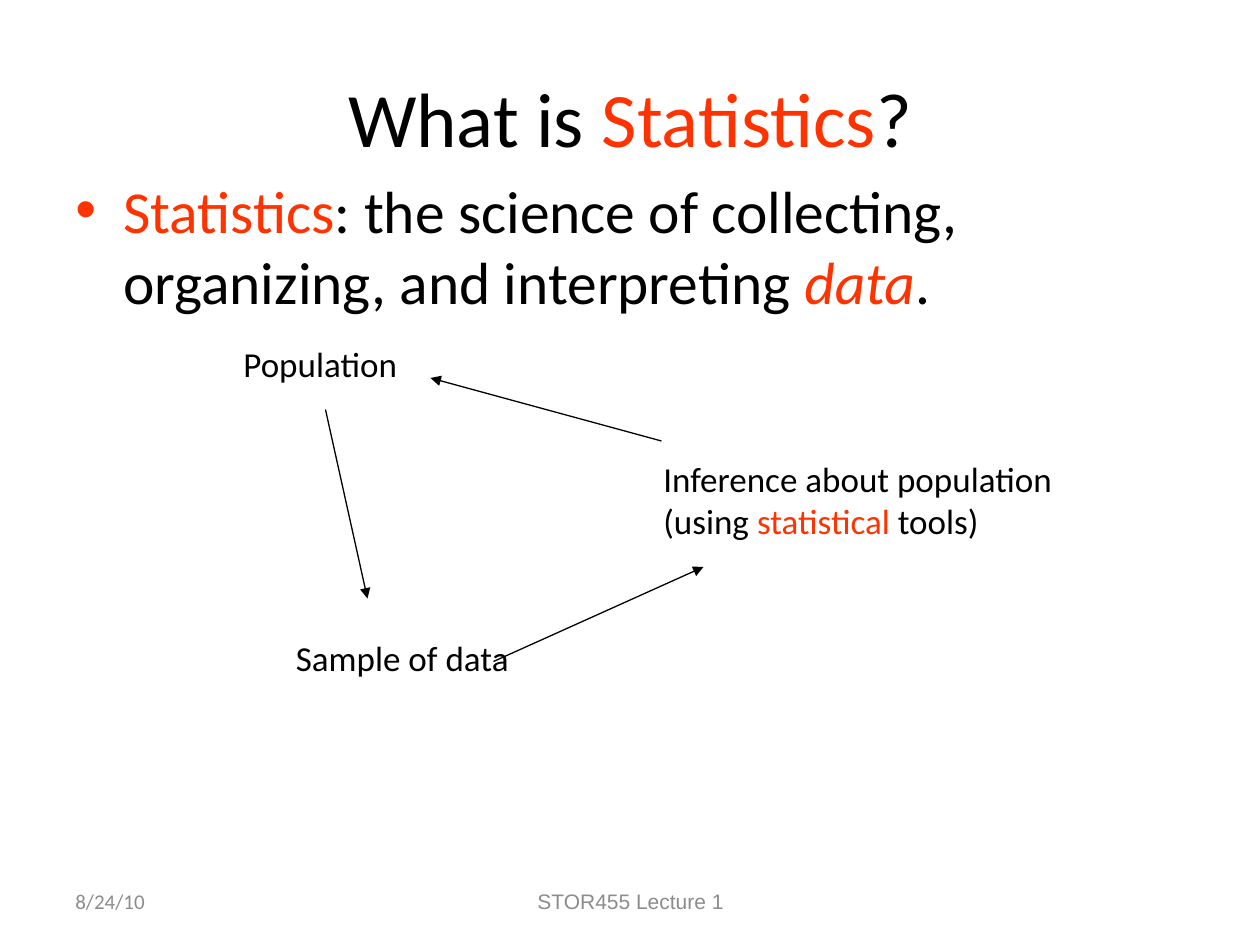
import pptx
import pptx.util
import pptx.dml.color
import pptx.enum.shapes
import pptx.enum.text
import pptx.oxml.ns
import lxml.etree

W, H = 10, 7.5
COL, ROW = W / 120, H / 30
COLORS = {"text": "000000", "accent": "FF3300", "footer": "8C8C8C"}
ALIGN = pptx.enum.text.PP_ALIGN
ANCHOR = pptx.enum.text.MSO_ANCHOR
Inches, Pt = pptx.util.Inches, pptx.util.Pt
qn = pptx.oxml.ns.qn

prs = pptx.Presentation()
prs.slide_width, prs.slide_height = Inches(W), Inches(H)
s = prs.slides.add_slide(prs.slide_layouts[6])


def add_text(runs, box, size=20, font="Calibri", align=ALIGN.LEFT, anchor=ANCHOR.TOP):
    sp = s.shapes.add_textbox(*[Inches(v) for v in box])
    tf = sp.text_frame
    tf.word_wrap = True
    tf.vertical_anchor = anchor
    p = tf.paragraphs[0]
    p.alignment = align
    for text, color, *italic in runs:
        r = p.add_run()
        r.text = text
        r.font.size = Pt(size)
        r.font.name = font
        r.font.italic = bool(italic)
        r.font.color.rgb = pptx.dml.color.RGBColor.from_string(COLORS[color])
    return p


add_text([("What is ", "text"), ("Statistics", "accent"), ("?", "text")],
         (0.5, 0.3, 9, 1.25), size=44, align=ALIGN.CENTER, anchor=ANCHOR.MIDDLE)

p = add_text([("Statistics", "accent"),
              (": the science of collecting, organizing, and interpreting ", "text"),
              ("data", "accent", "italic"), (".", "text")],
             (0.5, 1.33, 9, 5.42), size=34)
pPr = p._p.get_or_add_pPr()
pPr.set("marL", str(Inches(0.38)))
pPr.set("indent", str(-Inches(0.38)))
lxml.etree.SubElement(pPr, qn("a:buFont")).set("typeface", "Arial")
lxml.etree.SubElement(pPr, qn("a:buChar")).set("char", "•")

add_text([("Inference about population (using ", "text"), ("statistical", "accent"),
          (" tools)", "text")], (62 * COL, 3.58, 3.5, 0.77))
add_text([("Population", "text")], (22 * COL, 2.67, 2, 0.43))
add_text([("Sample of data", "text")], (27 * COL, 5, 2, 0.77))

arrows = [(31, 13, 35, 19), (47, 21, 67, 18), (63, 14, 41, 12)]
for x1, y1, x2, y2 in arrows:
    cx = s.shapes.add_connector(
        pptx.enum.shapes.MSO_CONNECTOR.STRAIGHT,
        Inches(x1 * COL), Inches(y1 * ROW), Inches(x2 * COL), Inches(y2 * ROW))
    cx.line.width = Pt(0.75)
    cx.line.color.rgb = pptx.dml.color.RGBColor.from_string(COLORS["text"])
    lxml.etree.SubElement(cx.line._get_or_add_ln(), qn("a:tailEnd")).set("type", "triangle")
    lxml.etree.SubElement(cx._element.spPr, qn("a:effectLst"))

add_text([("8/24/10", "footer")], (0.5, 6.95, 2.33, 0.4), size=12, anchor=ANCHOR.MIDDLE)
add_text([("STOR455 Lecture 1", "footer")], (3.42, 6.95, 3.17, 0.4), size=12,
         font="Arial", align=ALIGN.CENTER, anchor=ANCHOR.MIDDLE)

prs.save("out.pptx")
